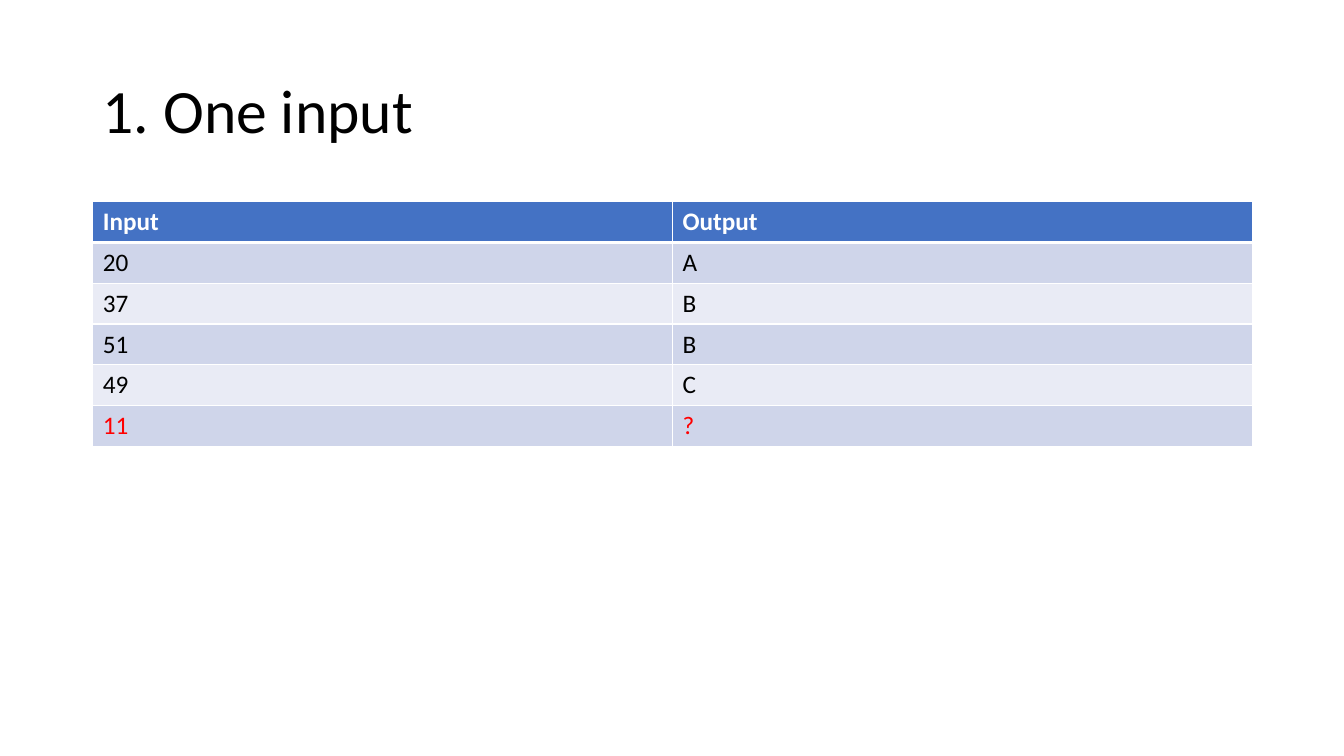
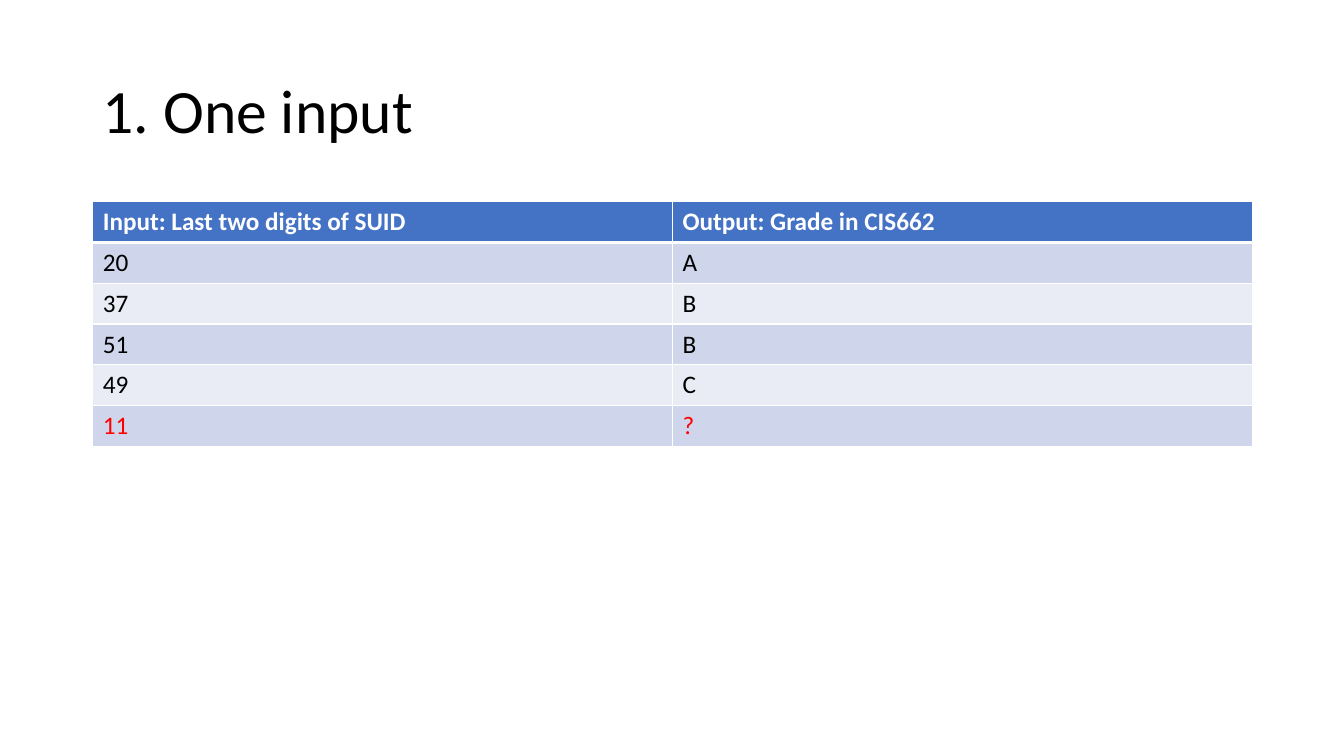
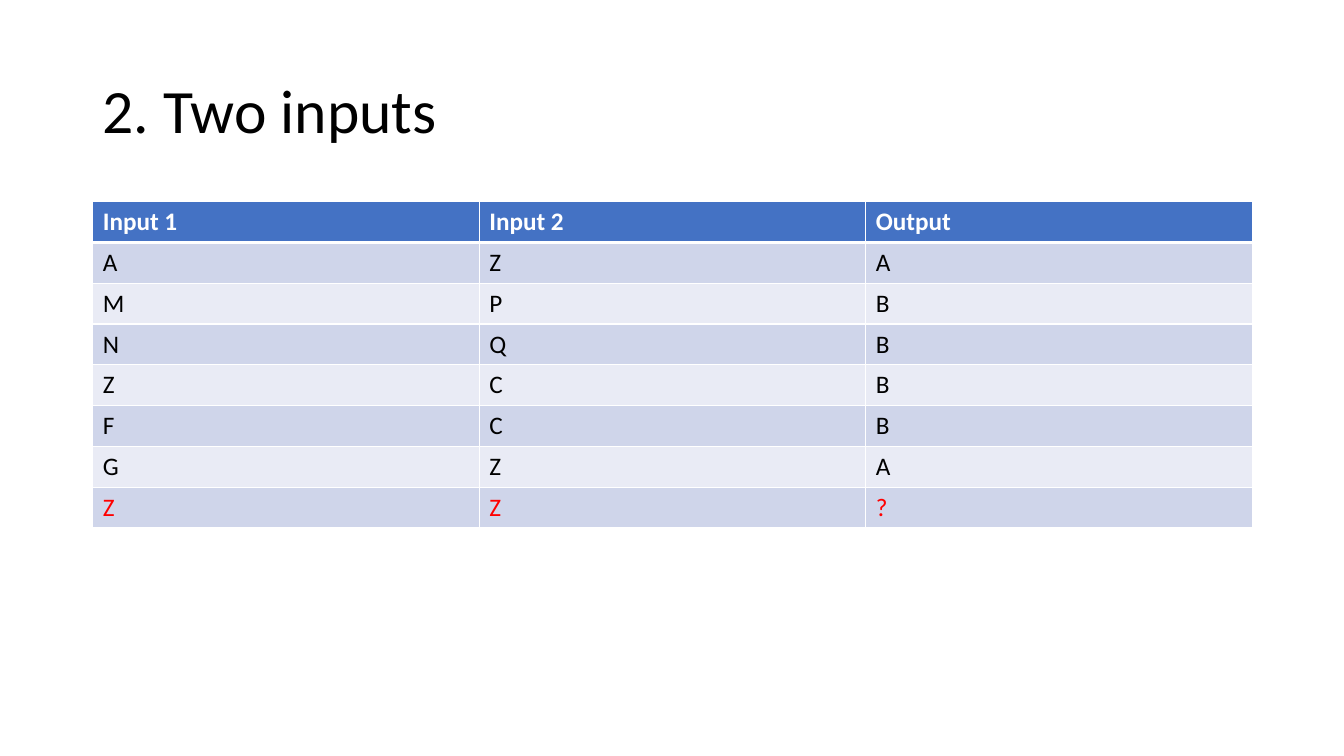
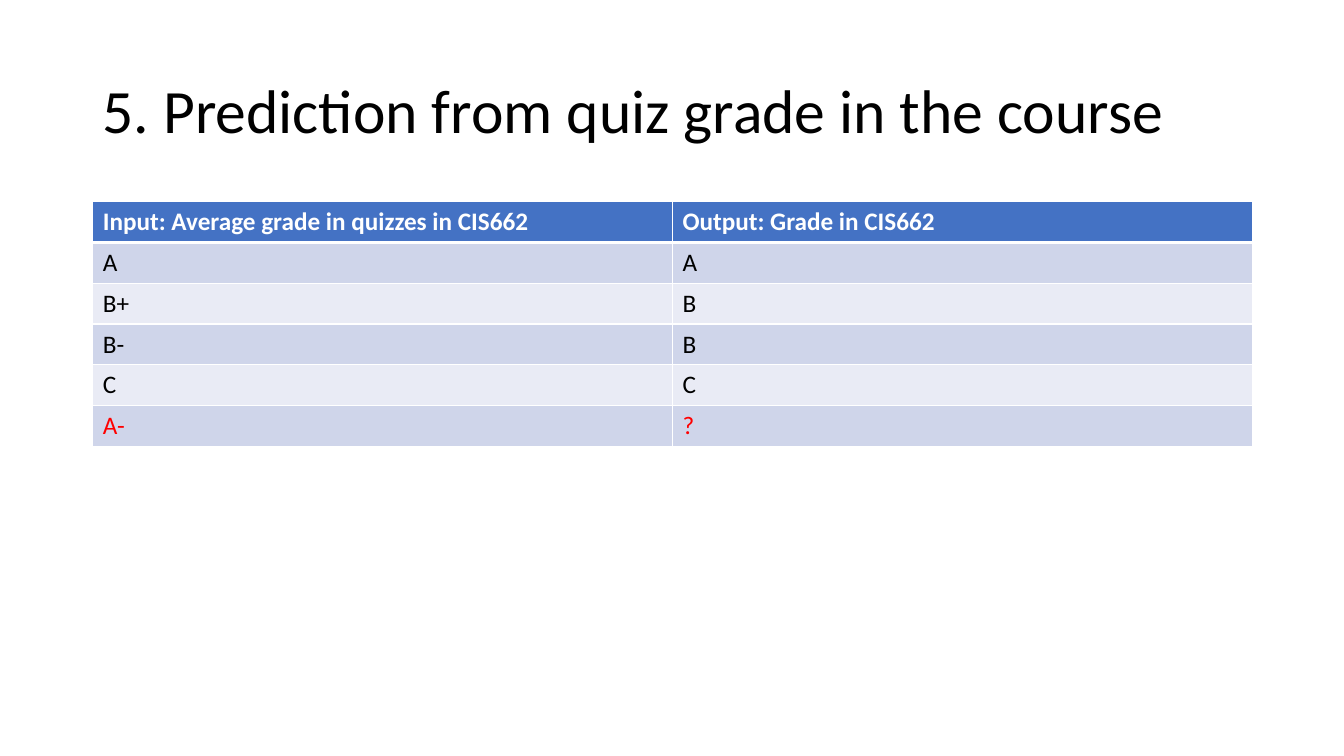
from lxml import etree
from pptx import Presentation
from pptx.dml.color import RGBColor
from pptx.enum.text import MSO_ANCHOR
from pptx.oxml.ns import qn
from pptx.util import Inches, Pt

MIDDLE = MSO_ANCHOR.MIDDLE

# Shared look
BLACK, WHITE, RED = "000000", "FFFFFF", "FF0000"
BLUE = "4472C4"
BANDS = ("CFD5EA", "E9EBF5")
TITLE = {"name": "Calibri", "size": Pt(44), "bold": False}
HEAD = {"name": "Calibri", "size": Pt(18), "bold": True}
BODY = {**HEAD, "bold": False}

# Shared grid, in inches
LEFT, WIDTH = 0.92, 11.5
TOP, ROW = 2, 2.43 / 6

# Slide title and table rows; the last row is the open question
GRADES = [("20", "A"), ("37", "B"), ("51", "B"), ("49", "C"), ("11", "?")]
SLIDES = [
    ("1. One input", [("Input", "Output"), *GRADES]),
    ("1. One input", [
        ("Input: Last two digits of SUID", "Output: Grade in CIS662"),
        *GRADES,
    ]),
    ("2. Two inputs", [
        ("Input 1", "Input 2", "Output"),
        ("A", "Z", "A"),
        ("M", "P", "B"),
        ("N", "Q", "B"),
        ("Z", "C", "B"),
        ("F", "C", "B"),
        ("G", "Z", "A"),
        ("Z", "Z", "?"),
    ]),
    ("5. Prediction from quiz grade in the course", [
        ("Input: Average grade in quizzes in CIS662",
         "Output: Grade in CIS662"),
        ("A", "A"),
        ("B+", "B"),
        ("B-", "B"),
        ("C", "C"),
        ("A-", "?"),
    ]),
]


def paint(color, tone):
    """Set a solid colour from a hex string."""
    color.rgb = RGBColor.from_string(tone)


def write(frame, text, form, tone):
    """Put one formatted run in a text frame."""
    para = frame.paragraphs[0]
    run = para.add_run()
    run.text = text
    for key, value in form.items():
        setattr(run.font, key, value)
    paint(run.font.color, tone)
    return para


def add_title(slide, text):
    box = slide.shapes.add_textbox(
        Inches(LEFT), Inches(0.4), Inches(WIDTH), Inches(1.45))
    frame = box.text_frame
    frame.word_wrap = True
    frame.vertical_anchor = MIDDLE
    write(frame, text, TITLE, BLACK).line_spacing = 0.9


def add_edges(cell, sides):
    """Draw white cell borders; must come before the cell fill."""
    props = cell._tc.get_or_add_tcPr()
    for side, width in sides.items():
        line = etree.SubElement(props, qn(f"a:ln{side}"), w=str(Pt(width)))
        fill = etree.SubElement(line, qn("a:solidFill"))
        etree.SubElement(fill, qn("a:srgbClr"), val=WHITE)


def fill_cell(cell, text, row, last):
    # The rule between the header and the body is thicker
    add_edges(cell, {"L": 1, "R": 1,
                     "T": 3 if row == 1 else 1,
                     "B": 3 if row == 0 else 1})
    cell.fill.solid()
    if row == 0:
        back, form, tone = BLUE, HEAD, WHITE
    else:
        back, form = BANDS[(row - 1) % 2], BODY
        tone = RED if row == last else BLACK
    paint(cell.fill.fore_color, back)
    write(cell.text_frame, text, form, tone)


def add_grid(slide, rows):
    count, cols = len(rows), len(rows[0])
    table = slide.shapes.add_table(
        count, cols, Inches(LEFT), Inches(TOP),
        Inches(WIDTH), Inches(ROW * count)).table
    for i, texts in enumerate(rows):
        for j, text in enumerate(texts):
            fill_cell(table.cell(i, j), text, i, count - 1)


def main():
    deck = Presentation()
    deck.slide_width, deck.slide_height = Inches(13.33), Inches(7.5)
    blank = deck.slide_layouts[6]
    for title, rows in SLIDES:
        slide = deck.slides.add_slide(blank)
        add_title(slide, title)
        add_grid(slide, rows)
    deck.save("out.pptx")


if __name__ == "__main__":
    main()
